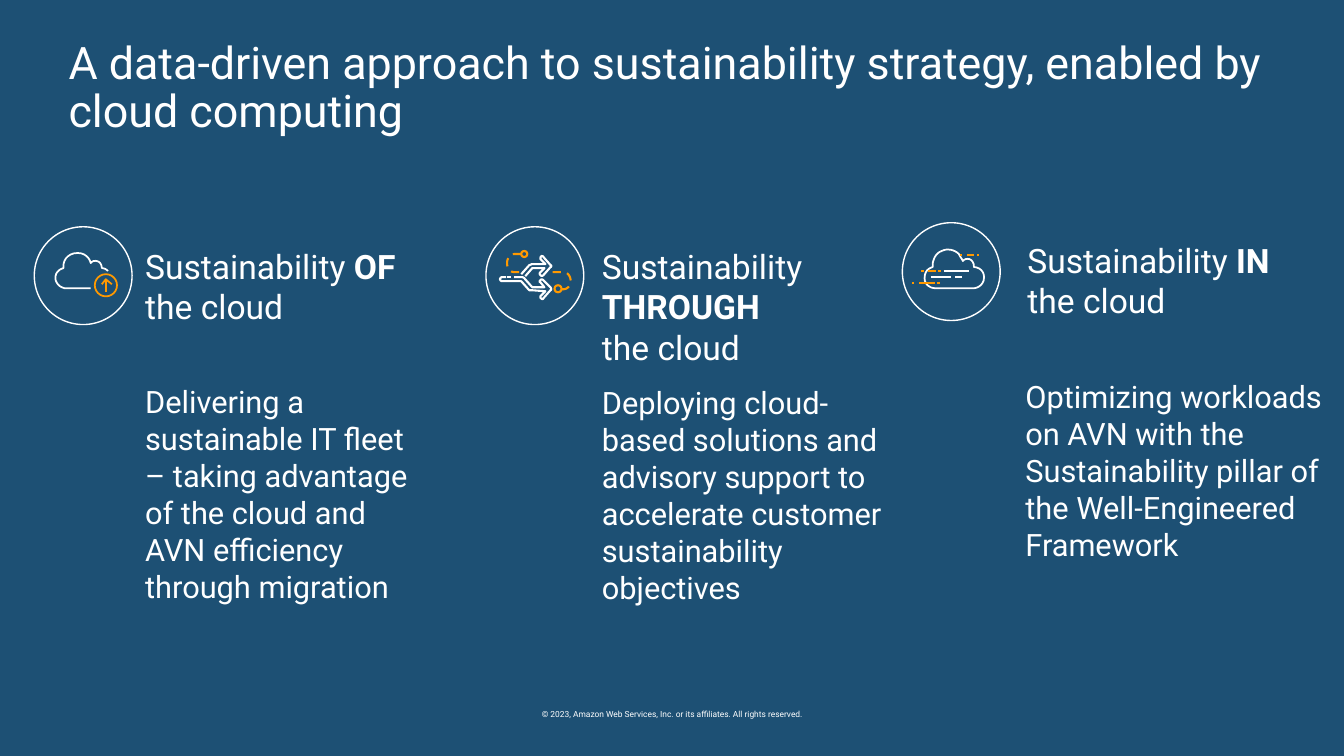
"""Build the slide on a data-driven approach to sustainability strategy."""
from dataclasses import dataclass

from lxml import etree
from pptx import Presentation
from pptx.dml.color import RGBColor
from pptx.enum import dml, shapes, text
from pptx.oxml.ns import qn
from pptx.util import Inches, Pt


@dataclass(frozen=True)
class Theme:
    """Colours, font and type sizes."""
    back: str = "1D5074"
    white: str = "FFFFFF"
    orange: str = "FF9900"
    font: str = "Roboto"
    title: int = 32
    heading: int = 24
    body: int = 22
    footer: int = 6


THEME = Theme()
W, O = THEME.white, THEME.orange
TITLE = "A data-driven approach to sustainability strategy, enabled by cloud computing"
FOOTER = "© 2023, Amazon Web Services, Inc. or its affiliates. All rights reserved."
COLUMNS = [
    dict(word="OF", heading=(1.44, 2.39, 2.83, 0.91), body=(1.44, 3.75, 2.83, 2.32),
         note="Delivering a sustainable IT fleet – taking advantage of the cloud "
              "and AVN efficiency through migration"),
    dict(word="THROUGH", heading=(5.97, 2.39, 2.94, 1.31), body=(5.97, 3.76, 2.94, 3.06),
         note="Deploying cloud-based solutions and advisory support to accelerate "
              "customer sustainability objectives"),
    dict(word="IN", heading=(10.19, 2.33, 3.24, 0.91), body=(10.17, 3.7, 3.01, 2.69),
         note="Optimizing workloads on AVN with the Sustainability pillar of the "
              "Well-Engineered Framework"),
]

RINGS = [
    (0.34, 2.25, 0.97, W, 1), (4.82, 2.25, 0.97, W, 1), (8.95, 2.21, 0.97, W, 1),
    (0.94, 2.72, 0.22, O, 1.25), (5.5, 2.83, 0.07, O, 1.5), (5.17, 2.49, 0.06, O, 1.5),
]
UPLOAD_CLOUD = [
    (0.9, 2.86), (0.64, 2.86), (0.56, 2.84, 0.55, 2.77, 0.55, 2.77),
    (0.54, 2.68, 0.63, 2.66, 0.63, 2.66), (0.62, 2.6, 0.66, 2.51, 0.77, 2.51),
    (0.88, 2.51, 0.9, 2.61, 0.9, 2.61), (0.92, 2.58, 0.96, 2.59, 0.96, 2.59),
    (1.01, 2.6, 1.01, 2.66, 1.01, 2.66), (1.01, 2.66, 1.05, 2.66, 1.07, 2.69)]
FAST_CLOUD = [
    (9.25, 2.65), (9.25, 2.64, 9.25, 2.64, 9.25, 2.63),
    (9.25, 2.58, 9.28, 2.51, 9.34, 2.49), (9.4, 2.46, 9.47, 2.48, 9.51, 2.52),
    (9.52, 2.54, 9.54, 2.57, 9.55, 2.59), (9.58, 2.55, 9.66, 2.56, 9.66, 2.65),
    (9.7, 2.65, 9.76, 2.68, 9.76, 2.75), (9.76, 2.85, 9.66, 2.86, 9.66, 2.86),
    (9.28, 2.86), (9.22, 2.86, 9.17, 2.82, 9.17, 2.76),
    (9.17, 2.69, 9.21, 2.66, 9.25, 2.65)]
LOWER_ARROW = [
    (5.02, 2.75), (4.98, 2.75), (4.97, 2.75, 4.96, 2.76, 4.96, 2.77),
    (4.96, 2.78, 4.97, 2.79, 4.98, 2.79), (5.17, 2.79), (5.25, 2.88),
    (5.26, 2.88, 5.27, 2.88, 5.28, 2.88), (5.41, 2.89), (5.36, 2.94),
    (5.36, 2.95, 5.36, 2.96, 5.37, 2.96), (5.37, 2.97, 5.39, 2.97, 5.39, 2.96),
    (5.46, 2.88), (5.47, 2.88, 5.47, 2.86, 5.46, 2.85), (5.39, 2.78),
    (5.38, 2.77, 5.37, 2.77, 5.36, 2.78), (5.35, 2.79, 5.35, 2.8, 5.36, 2.8),
    (5.4, 2.85), (5.28, 2.85), (5.2, 2.76), (5.19, 2.75, 5.18, 2.75, 5.18, 2.75),
    (5.1, 2.75)]
UPPER_ARROW = [
    (5.17, 2.72), (5.25, 2.63), (5.26, 2.63, 5.27, 2.62, 5.28, 2.62), (5.41, 2.62),
    (5.36, 2.57), (5.36, 2.56, 5.36, 2.55, 5.37, 2.54),
    (5.37, 2.54, 5.39, 2.54, 5.39, 2.55), (5.46, 2.63),
    (5.47, 2.63, 5.47, 2.65, 5.46, 2.65), (5.39, 2.73),
    (5.38, 2.74, 5.37, 2.74, 5.36, 2.73), (5.35, 2.72, 5.35, 2.71, 5.36, 2.7),
    (5.4, 2.66), (5.28, 2.66), (5.21, 2.74)]
RIGHT_ORBIT = [
    (5.48, 2.7), (5.59, 2.7), (5.63, 2.7, 5.66, 2.74, 5.66, 2.79),
    (5.66, 2.83, 5.63, 2.87, 5.59, 2.87), (5.57, 2.87)]
LEFT_ORBIT = [
    (5.17, 2.52), (5.1, 2.52), (5.06, 2.52, 5.03, 2.56, 5.03, 2.61),
    (5.03, 2.66, 5.06, 2.7, 5.1, 2.7), (5.15, 2.7)]
UPLOAD_ARROW = [(1.01, 2.82), (1.05, 2.77), (1.11, 2.82)]
OUTLINES = [
    (UPLOAD_CLOUD, W, 1.25, False, False), (UPLOAD_ARROW, O, 1.25, False, False),
    (FAST_CLOUD, W, 1.25, True, False), (RIGHT_ORBIT, O, 1.5, False, True),
    (LEFT_ORBIT, O, 1.5, False, True), (LOWER_ARROW, W, 1.5, False, False),
    (UPPER_ARROW, W, 1.5, False, False)]
STROKES = [
    (1.05, 2.77, 1.05, 2.9, O, 1.25), (5.03, 2.75, 5.07, 2.75, W, 1.5)]
SPEED_LINES = {
    (2.75, W): [(9.23, 9.43), (9.47, 9.54)],
    (2.69, W): [(9.36, 9.61)],
    (2.69, O): [(9.13, 9.16), (9.2, 9.28), (9.3, 9.33)],
    (2.81, O): [(9.05, 9.07), (9.12, 9.27), (9.29, 9.32)],
    (2.53, O): [(9.52, 9.54), (9.59, 9.66), (9.69, 9.71)],
}


def format_line(line, color, width):
    line.color.rgb = RGBColor.from_string(color)
    line.width = Pt(width)


def format_text(frame, size, margins=(0, 0.05, 0, 0.05)):
    frame.margin_left, frame.margin_top, frame.margin_right, frame.margin_bottom = map(
        Inches, margins)
    frame.vertical_anchor = text.MSO_ANCHOR.TOP
    for para in frame.paragraphs:
        for span in para.runs:
            span.font.name, span.font.size = THEME.font, Pt(size)
            span.font.color.rgb = RGBColor.from_string(THEME.white)


def add_text(page, place, content, size, wrap=True):
    box = page.shapes.add_textbox(*map(Inches, place))
    frame = box.text_frame
    frame.text = content
    frame.word_wrap = wrap
    format_text(frame, size)
    return frame


def add_heading(page, place, word):
    frame = add_text(page, place, "Sustainability \nthe cloud", THEME.heading)
    span = frame.paragraphs[0].add_run()
    span.text = word
    span.font.bold = True
    format_text(frame, THEME.heading)


def trace(steps, pieces=8):
    points = []
    for step in steps:
        if len(step) == 2:
            points.append(step)
            continue
        corners = [points[-1], step[:2], step[2:4], step[4:]]
        for piece in range(1, pieces + 1):
            t = piece / pieces
            weights = ((1 - t) ** 3, 3 * t * (1 - t) ** 2, 3 * t * t * (1 - t), t ** 3)
            points.append(tuple(sum(w * corner[axis] for w, corner in zip(weights, corners))
                                for axis in (0, 1)))
    return [(x * 1000, y * 1000) for x, y in points]


def add_outline(page, steps, color, width, close, dashed):
    start, *rest = trace(steps)
    builder = page.shapes.build_freeform(*start, scale=Inches(1) / 1000)
    builder.add_line_segments(rest, close=close)
    outline = builder.convert_to_shape()
    outline.shadow.inherit = False
    outline.fill.background()
    format_line(outline.line, color, width)
    if dashed:
        outline.line.dash_style = dml.MSO_LINE.DASH


def add_ring(page, left, top, size, color, width):
    ring = page.shapes.add_shape(shapes.MSO_SHAPE.OVAL, *map(Inches, (left, top, size, size)))
    ring.shadow.inherit = False
    ring.fill.background()
    format_line(ring.line, color, width)


def add_stroke(page, x1, y1, x2, y2, color, width):
    stroke = page.shapes.add_connector(
        shapes.MSO_CONNECTOR.STRAIGHT, *map(Inches, (x1, y1, x2, y2)))
    format_line(stroke.line, color, width)
    etree.SubElement(stroke._element.spPr, qn("a:effectLst"))


def main():
    deck = Presentation()
    deck.slide_width, deck.slide_height = Inches(13.33), Inches(7.5)
    page = deck.slides.add_slide(deck.slide_layouts[5])
    page.background.fill.solid()
    page.background.fill.fore_color.rgb = RGBColor.from_string(THEME.back)

    title = page.shapes.title
    title.left, title.top, title.width, title.height = map(Inches, (0.68, 0.35, 12, 0.65))
    title.text_frame.text = TITLE
    title.text_frame.auto_size = text.MSO_AUTO_SIZE.NONE
    format_text(title.text_frame, THEME.title, (0, 0.05, 0.1, 0.05))
    title.text_frame.paragraphs[0].alignment = text.PP_ALIGN.LEFT
    title.text_frame.paragraphs[0].line_spacing = 0.9

    for column in COLUMNS:
        add_heading(page, column["heading"], column["word"])
        add_text(page, column["body"], column["note"], THEME.body)
    for ring in RINGS:
        add_ring(page, *ring)
    for outline in OUTLINES:
        add_outline(page, *outline)
    for stroke in STROKES:
        add_stroke(page, *stroke)
    for (y, color), spans in SPEED_LINES.items():
        for x1, x2 in spans:
            add_stroke(page, x1, y, x2, y, color, 1.25)

    footer = add_text(page, (5.22, 6.99, 2.89, 0.2), FOOTER, THEME.footer, wrap=False)
    footer.paragraphs[0].alignment = text.PP_ALIGN.CENTER
    deck.save("out.pptx")


if __name__ == "__main__":
    main()
